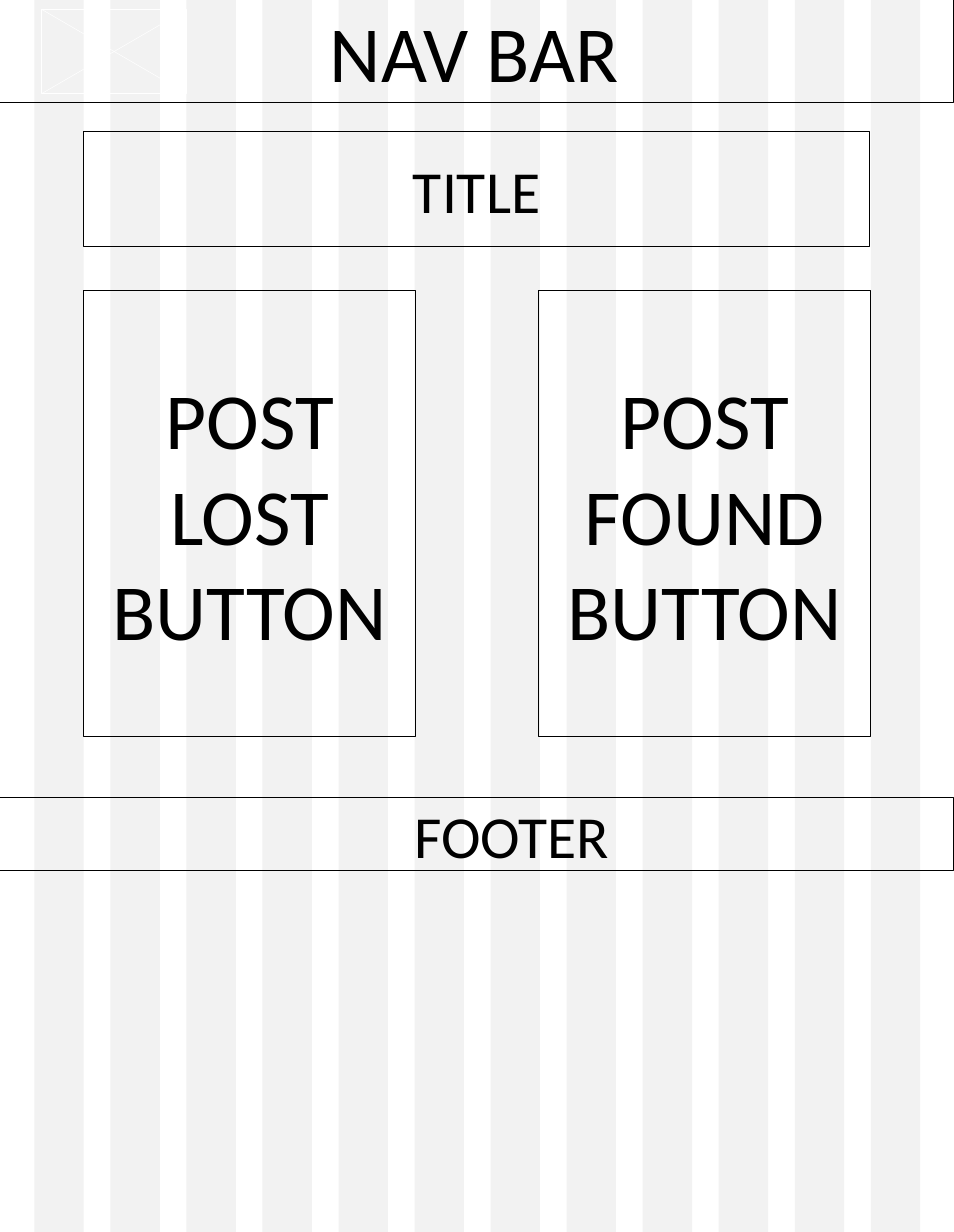
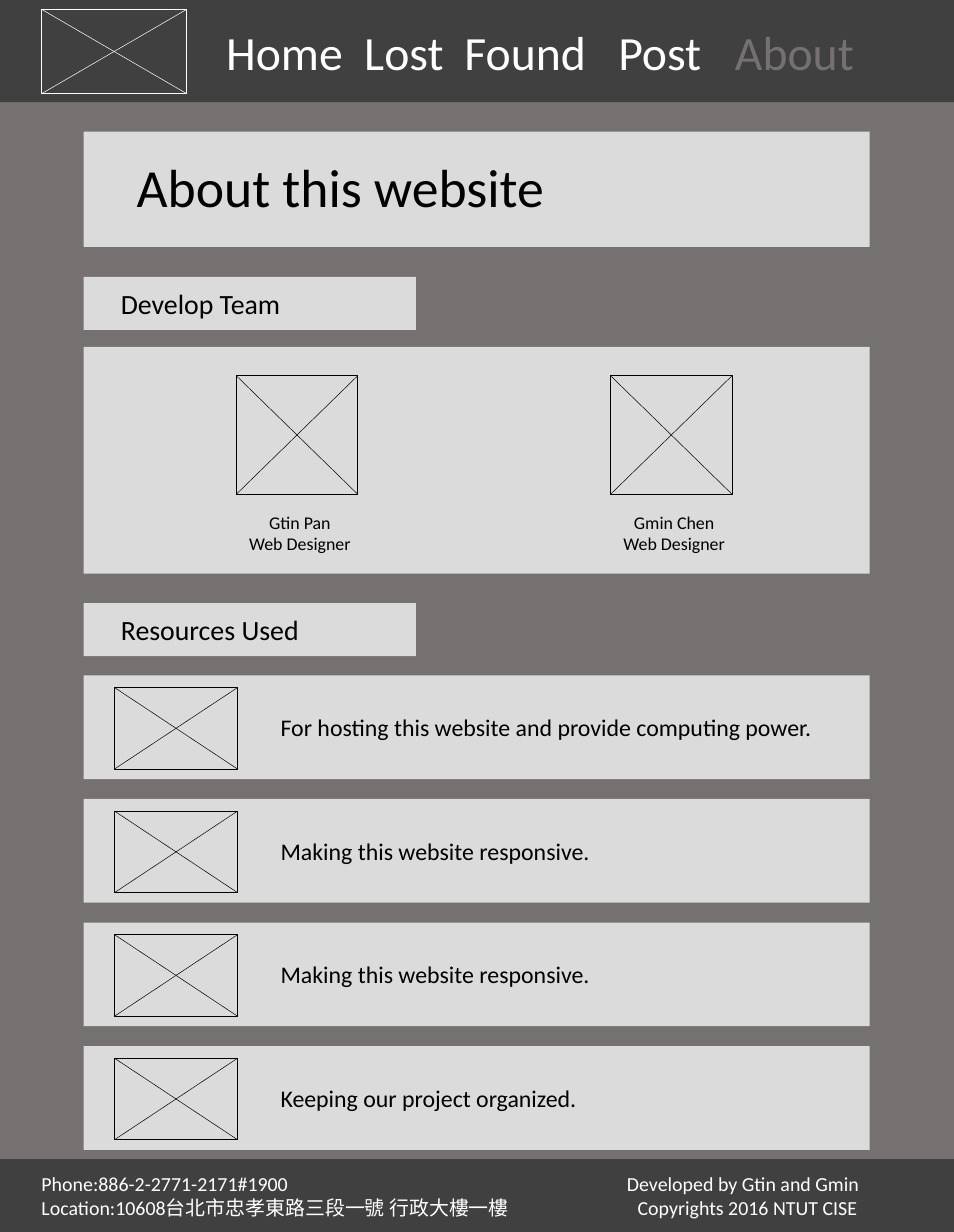
from dataclasses import dataclass

from lxml.etree import SubElement
from pptx import Presentation
from pptx.dml.color import RGBColor as RGB
from pptx.enum.shapes import MSO_CONNECTOR as LINK, MSO_SHAPE as SHAPE
from pptx.enum.text import MSO_ANCHOR as ANCHOR, MSO_AUTO_SIZE as FIT, PP_ALIGN as ALIGN
from pptx.oxml.ns import qn
from pptx.shapes.autoshape import Shape
from pptx.slide import Slide
from pptx.util import Inches, Pt

BLACK = RGB(0x00, 0x00, 0x00)
WHITE = RGB(0xFF, 0xFF, 0xFF)
PALE = RGB(0xF2, 0xF2, 0xF2)
GREY = RGB(0x76, 0x71, 0x71)
DARK = RGB(0x40, 0x40, 0x40)
FONT = "Calibri"

WIDE, TALL = 13.33, 17.22
LEFT, SPAN = 1.17, 10.98
HALF = 4.64
NAV_H, FOOT_H = 1.43, 1.02


@dataclass(frozen=True)
class Area:
    left: float
    top: float
    width: float
    height: float


@dataclass(frozen=True)
class Look:
    fill: RGB | None = None
    line: RGB | None = None
    alpha: int = 100


@dataclass(frozen=True)
class Words:
    lines: tuple[str, ...]
    size: float
    color: RGB = BLACK
    indent: float | None = None  # None centres the lines
    tabs: tuple[tuple[float, ...], ...] = ()


@dataclass(frozen=True)
class Member:
    name: str
    left: float


FRAME = Look(line=BLACK)
PANEL = Look(fill=WHITE, alpha=75)
BAND = Look(fill=DARK)
STRIPE = Look(fill=PALE)

NAV = Area(0, 0, WIDE, NAV_H)
HEAD = Area(LEFT, 1.84, SPAN, 1.61)
LOGO = Area(0.58, 0.13, 2.03, 1.18)

TEAM = (Member("Gtin Pan", 3.3), Member("Gmin Chen", 8.53))
USES = (
    "For hosting this website and provide computing power.",
    "Making this website responsive.",
    "Making this website responsive.",
    "Keeping our project organized.",
)


def place(area: Area) -> tuple[Inches, ...]:
    return tuple(map(Inches, (area.left, area.top, area.width, area.height)))


def paint(shape: Shape, look: Look) -> None:
    shape.shadow.inherit = False
    if look.fill is None:
        shape.fill.background()
    else:
        shape.fill.solid()
        shape.fill.fore_color.rgb = look.fill
        if look.alpha < 100:
            tint = shape.element.spPr.find(".//" + qn("a:srgbClr"))
            SubElement(tint, qn("a:alpha"), val=str(look.alpha * 1000))
    if look.line is None:
        shape.line.fill.background()
    else:
        shape.line.color.rgb = look.line
        shape.line.width = Pt(1)


def write(shape: Shape, words: Words) -> None:
    frame = shape.text_frame
    frame.text = "\n".join(words.lines)
    frame.word_wrap = True
    frame.auto_size = FIT.NONE
    frame.vertical_anchor = ANCHOR.MIDDLE
    if words.indent is not None:
        frame.margin_left = Inches(words.indent)
    for part in frame.paragraphs:
        part.alignment = ALIGN.CENTER if words.indent is None else ALIGN.LEFT
        for run in part.runs:
            run.font.name = FONT
            run.font.size = Pt(words.size)
            run.font.color.rgb = words.color
    for part, stops in zip(frame.paragraphs, words.tabs):
        tabs = SubElement(part._p.get_or_add_pPr(), qn("a:tabLst"))
        for stop in stops:
            SubElement(tabs, qn("a:tab"), pos=str(Inches(stop)), algn="l")


def box(slide: Slide, area: Area, look: Look, words: Words | None = None) -> Shape:
    shape = slide.shapes.add_shape(SHAPE.RECTANGLE, *place(area))
    paint(shape, look)
    if words:
        write(shape, words)
    return shape


def title(slide: Slide, look: Look, words: Words) -> None:
    """Turn the title placeholder into the heading panel, in front of what is drawn."""
    shape = slide.shapes.title
    shape.left, shape.top, shape.width, shape.height = place(HEAD)
    paint(shape, look)
    write(shape, words)
    slide.shapes.element.append(shape.element)


def image(slide: Slide, area: Area, color: RGB) -> None:
    """Draw a crossed frame that stands for an image."""
    group = slide.shapes.add_group_shape().shapes
    left, top, width, height = place(area)
    right, low = left + width, top + height
    paint(group.add_shape(SHAPE.RECTANGLE, left, top, width, height), Look(line=color))
    for start, end in ((left, right), (right, left)):
        link = group.add_connector(LINK.STRAIGHT, start, top, end, low)
        link.line.color.rgb = color
        link.line.width = Pt(0.5)
        SubElement(link.element.spPr, qn("a:effectLst"))


def wire(slide: Slide) -> None:
    """Build the layout sketch over its twelve columns."""
    for col in range(12):
        box(slide, Area(0.48 + col * 1.0625, 0, 0.69, TALL), STRIPE)
    box(slide, NAV, FRAME, Words(("NAV BAR",), 80, indent=4.61))
    title(slide, FRAME, Words(("TITLE",), 60))
    box(slide, Area(0, 11.15, WIDE, FOOT_H), FRAME, Words(("FOOTER",), 60, indent=5.79))
    for left, kind in ((LEFT, "LOST"), (7.53, "FOUND")):
        box(slide, Area(left, 4.06, HALF, 6.23), FRAME, Words(("POST", kind, "BUTTON"), 80))
    image(slide, LOGO, WHITE)


def about(slide: Slide) -> None:
    slide.background.fill.solid()
    slide.background.fill.fore_color.rgb = GREY

    menu = Words(("Home\tLost\tFound\tPost\tAbout",), 48, WHITE, 3.16, ((1.93, 3.33, 5.48, 7.11),))
    nav = box(slide, NAV, BAND, menu)
    part = nav.text_frame.paragraphs[0]
    link = part.runs[0]
    link.text = link.text.removesuffix("About")
    here = part.add_run()
    here.text = "About"
    here.font.name = FONT
    here.font.size = Pt(menu.size)
    here.font.color.rgb = GREY
    image(slide, LOGO, WHITE)

    title(slide, PANEL, Words(("About this website",), 54, indent=0.74))
    slide.shapes.title.text_frame.margin_bottom = Inches(0.15)

    for top, label in ((3.87, "Develop Team"), (8.43, "Resources Used")):
        box(slide, Area(LEFT, top, HALF, 0.74), PANEL, Words((label,), 28, indent=0.52))

    box(slide, Area(LEFT, 4.85, SPAN, 3.17), PANEL)
    for one in TEAM:
        image(slide, Area(one.left, 5.25, 1.7, 1.66), BLACK)
        note = slide.shapes.add_textbox(*place(Area(one.left - 0.22, 7.09, 2.22, 0.71)))
        write(note, Words((one.name, "Web Designer"), 18))

    for row, use in enumerate(USES):
        top = 9.44 + row * 1.727
        box(slide, Area(LEFT, top, SPAN, 1.45), PANEL, Words((use,), 24, indent=2.75))
        image(slide, Area(LEFT + 0.43, top + 0.17, 1.72, 1.14), BLACK)

    lines = (
        "Phone:886-2-2771-2171#1900\tDeveloped by Gtin and Gmin",
        "Location:10608台北市忠孝東路三段一號 行政大樓一樓\tCopyrights 2016 NTUT CISE",
    )
    foot = Words(lines, 20, WHITE, 0.58, ((8.18,), (8.33,)))
    box(slide, Area(0, TALL - FOOT_H, WIDE, FOOT_H), BAND, foot)


def main() -> None:
    deck = Presentation()
    deck.slide_width, deck.slide_height = Inches(WIDE), Inches(TALL)
    for build in (wire, about):
        slide = deck.slides.add_slide(deck.slide_layouts[5])
        build(slide)
    deck.save("out.pptx")


if __name__ == "__main__":
    main()
